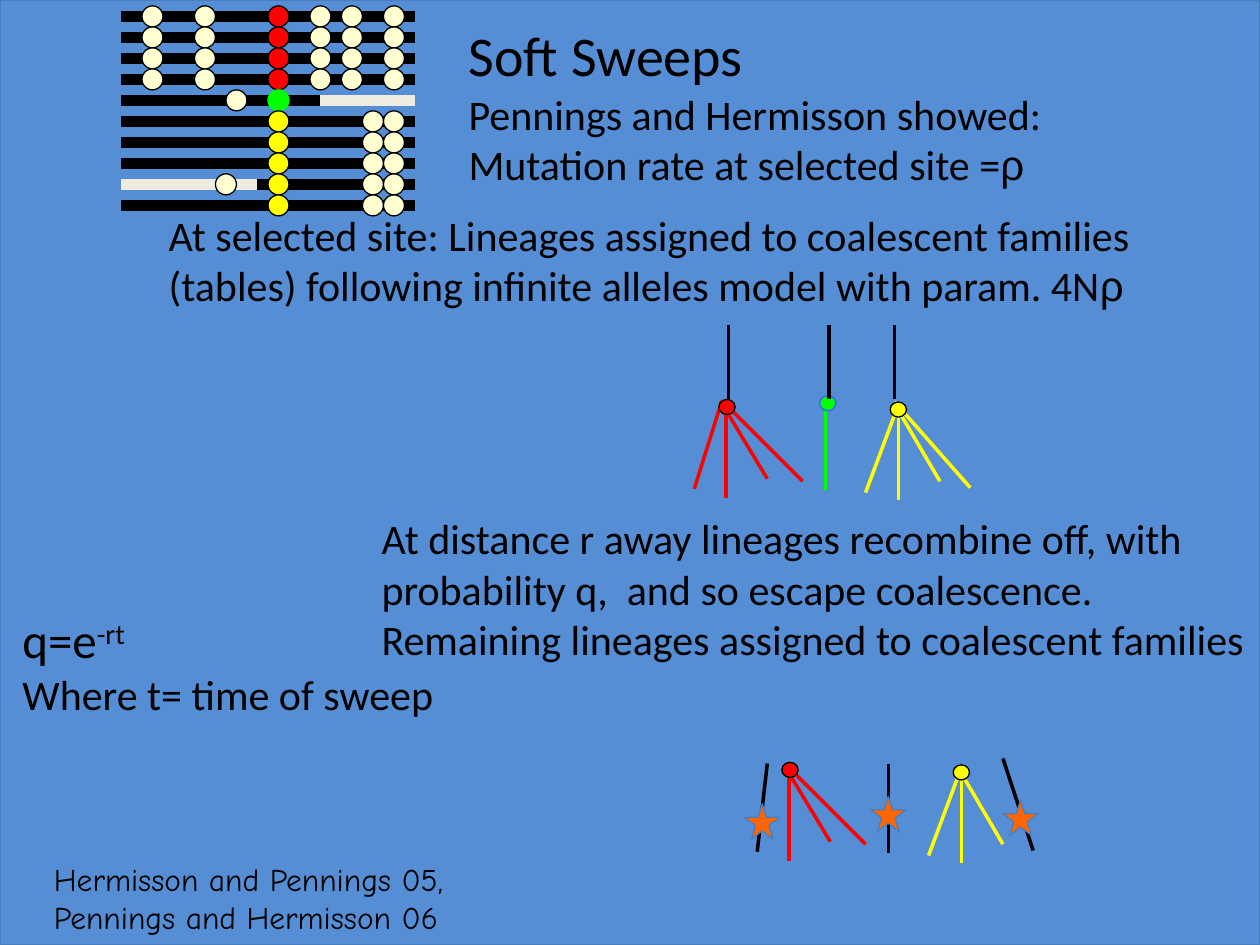
from lxml import etree
from pptx import Presentation
from pptx.dml.color import RGBColor
from pptx.enum.shapes import MSO_CONNECTOR, MSO_SHAPE
from pptx.enum.text import MSO_ANCHOR, PP_ALIGN
from pptx.oxml.ns import qn
from pptx.util import Inches, Pt

STRAIGHT = MSO_CONNECTOR.STRAIGHT
RECTANGLE, OVAL, STAR = MSO_SHAPE.RECTANGLE, MSO_SHAPE.OVAL, MSO_SHAPE.STAR_5_POINT
TOP, LEFT = MSO_ANCHOR.TOP, PP_ALIGN.LEFT

BLACK = RGBColor(0x00, 0x00, 0x00)
SKY = RGBColor(0x55, 0x8E, 0xD5)
EDGE = RGBColor(0x4B, 0x7E, 0xBC)
RED = RGBColor(0xFF, 0x00, 0x00)
GREEN = RGBColor(0x00, 0xFF, 0x00)
YELLOW = RGBColor(0xFF, 0xFF, 0x00)
CREAM = RGBColor(0xFF, 0xFF, 0xD1)
PALE = RGBColor(0xEE, 0xEC, 0xE1)
ORANGE = RGBColor(0xFF, 0x66, 0x00)
BLUE = RGBColor(0x33, 0x66, 0xFF)

GRID_LEFT, GRID_TOP = 0.96, 0.13
COLUMN, ROW = 1 / 12, 1 / 6
LAST_COLUMN, SELECTED_COLUMN = 28, 15

WHOLE = [(0, LAST_COLUMN, BLACK)]
RED_ROW = (RED, [3, 8, 19, 22, 26], WHOLE)
GREEN_ROW = (GREEN, [11], [(0, 19, BLACK), (19, LAST_COLUMN, PALE)])
YELLOW_ROW = (YELLOW, [24, 26], WHOLE)
RECOMBINED_ROW = (YELLOW, [10, 24, 26], [(0, 13, PALE), (13, LAST_COLUMN, BLACK)])
HAPLOTYPES = [RED_ROW] * 4 + [GREEN_ROW] + [YELLOW_ROW] * 3 + [RECOMBINED_ROW, YELLOW_ROW]

RED_STRANDS = [
    ((-0.26, 0.65), (-0.04, -0.05)),
    ((0.32, 0.57), (-0.03, -0.01)),
    ((-0.01, 0.72), (-0.01, -0.03)),
    ((0.6, 0.59), (0.01, 0)),
]
YELLOW_STRANDS = [
    ((-0.26, 0.66), (-0.01, -0.01)),
    ((0.33, 0.57), (-0.01, -0.01)),
    ((0, 0.72), (0, -0.03)),
    ((0.57, 0.62), (-0.03, -0.06)),
]
GREEN_STRANDS = [((-0.02, 0.69), (-0.02, -0.02))]

FAMILIES = [
    (5.77, 3.23, RED, BLACK, RED_STRANDS),
    (7.13, 3.25, YELLOW, BLACK, YELLOW_STRANDS),
    (6.57, 3.2, GREEN, BLUE, GREEN_STRANDS),
    (6.27, 6.11, RED, BLACK, RED_STRANDS[1:]),
    (7.63, 6.13, YELLOW, BLACK, YELLOW_STRANDS[:-1]),
]
STEMS = [5.78, 6.58, 7.1]
ESCAPES = [
    ((6.01, 6.76), (6.09, 6.06), (6.05, 6.52)),
    ((7.05, 6.77), (7.05, 6.06), (7.05, 6.46)),
    ((8.2, 6.75), (7.96, 6.02), (8.1, 6.49)),
]


def add_line(page, start, end, color, width=2):
    ends = [Inches(value) for value in (*start, *end)]
    line = page.shapes.add_connector(STRAIGHT, *ends)
    line.line.color.rgb = color
    line.line.width = Pt(width)
    etree.SubElement(line._element.spPr, qn("a:effectLst"))


def add_shape(page, kind, center, size, fill, edge):
    left, top = (middle - length / 2 for middle, length in zip(center, size))
    shape = page.shapes.add_shape(
        kind, Inches(left), Inches(top), Inches(size[0]), Inches(size[1])
    )
    shape.shadow.inherit = False
    shape.fill.solid()
    shape.fill.fore_color.rgb = fill
    shape.line.color.rgb = edge
    shape.line.width = Pt(0.75)
    return shape


def write_text(box, lines, font="Calibri"):
    frame = box.text_frame
    for index, (size, *parts) in enumerate(lines):
        para = frame.paragraphs[0] if index == 0 else frame.add_paragraph()
        para.alignment = LEFT
        para.font.name = font
        para.font.size = Pt(size)
        para.font.color.rgb = BLACK
        for part in parts:
            span = para.add_run()
            span.text = part
            if part == "ρ":
                span.font.name = "Arial"
            elif part == "-rt":
                span._r.get_or_add_rPr().set("baseline", "30000")


def add_text(page, left, top, width, height, lines, font="Calibri", wrap=True):
    box = page.shapes.add_textbox(
        Inches(left), Inches(top), Inches(width), Inches(height)
    )
    box.text_frame.word_wrap = wrap
    write_text(box, lines, font)


def add_title(page, text):
    title = page.shapes.title
    title.left, title.top = Inches(3.62), Inches(0.11)
    title.width, title.height = Inches(5.39), Inches(0.64)
    title.text_frame.vertical_anchor = TOP
    write_text(title, [(32, text)])


def add_backdrop(page):
    backdrop = add_shape(page, RECTANGLE, (5, 3.75), (10, 7.5), SKY, EDGE)
    page.shapes._spTree.insert(2, backdrop._element)


def grid_point(column, row):
    return GRID_LEFT + column * COLUMN, GRID_TOP + row * ROW


def add_haplotype(page, row, allele, sites, segments):
    for start, end, color in segments:
        add_line(page, grid_point(start, row), grid_point(end, row), color, 6)
    for site in sites:
        add_shape(page, OVAL, grid_point(site, row), (ROW, ROW), CREAM, BLACK)
    edge = GREEN if allele == GREEN else BLACK
    add_shape(page, OVAL, grid_point(SELECTED_COLUMN, row), (ROW, ROW), allele, edge)


def add_family(page, x, y, color, edge, strands):
    for tip, root in strands:
        add_line(page, (x + tip[0], y + tip[1]), (x + root[0], y + root[1]), color)
    add_shape(page, OVAL, (x, y), (0.13, 0.12), color, edge)


def main():
    deck = Presentation()
    deck.slide_width, deck.slide_height = Inches(10), Inches(7.5)
    page = deck.slides.add_slide(deck.slide_layouts[5])
    add_backdrop(page)
    add_title(page, "Soft Sweeps")

    for row, haplotype in enumerate(HAPLOTYPES):
        add_haplotype(page, row, *haplotype)
    for family in FAMILIES:
        add_family(page, *family)
    for x in STEMS:
        add_line(page, (x, 3.17), (x, 2.58), BLACK)
    for start, end, star in ESCAPES:
        add_line(page, start, end, BLACK)
        add_shape(page, STAR, star, (0.28, 0.28), ORANGE, EDGE)

    add_text(page, 3.62, 0.65, 5.39, 0.91, [
        (24, "Pennings and Hermisson showed:"),
        (24, "Mutation rate at selected site =", "ρ"),
    ])
    add_text(page, 1.24, 1.61, 8.67, 2.12, [
        (24, "At selected site: Lineages assigned to coalescent families"),
        (24, "(tables) following infinite alleles model with param. 4N", "ρ"),
    ])
    add_text(page, 2.93, 4.02, 7.1, 1.31, [
        (24, "At distance r away lineages recombine off, with probability q,  "
             "and so escape coalescence."),
        (24, "Remaining lineages assigned to coalescent families"),
    ])
    add_text(page, 0.08, 4.79, 3.5, 0.98, [
        (28, "q=e", "-rt"),
        (24, "Where t= time of sweep"),
    ], wrap=False)
    add_text(page, 0.33, 6.78, 4.25, 0.71, [
        (18, "Hermisson and Pennings 05, Pennings and Hermisson 06"),
    ], font="Comic Neue")
    deck.save("out.pptx")


if __name__ == "__main__":
    main()
